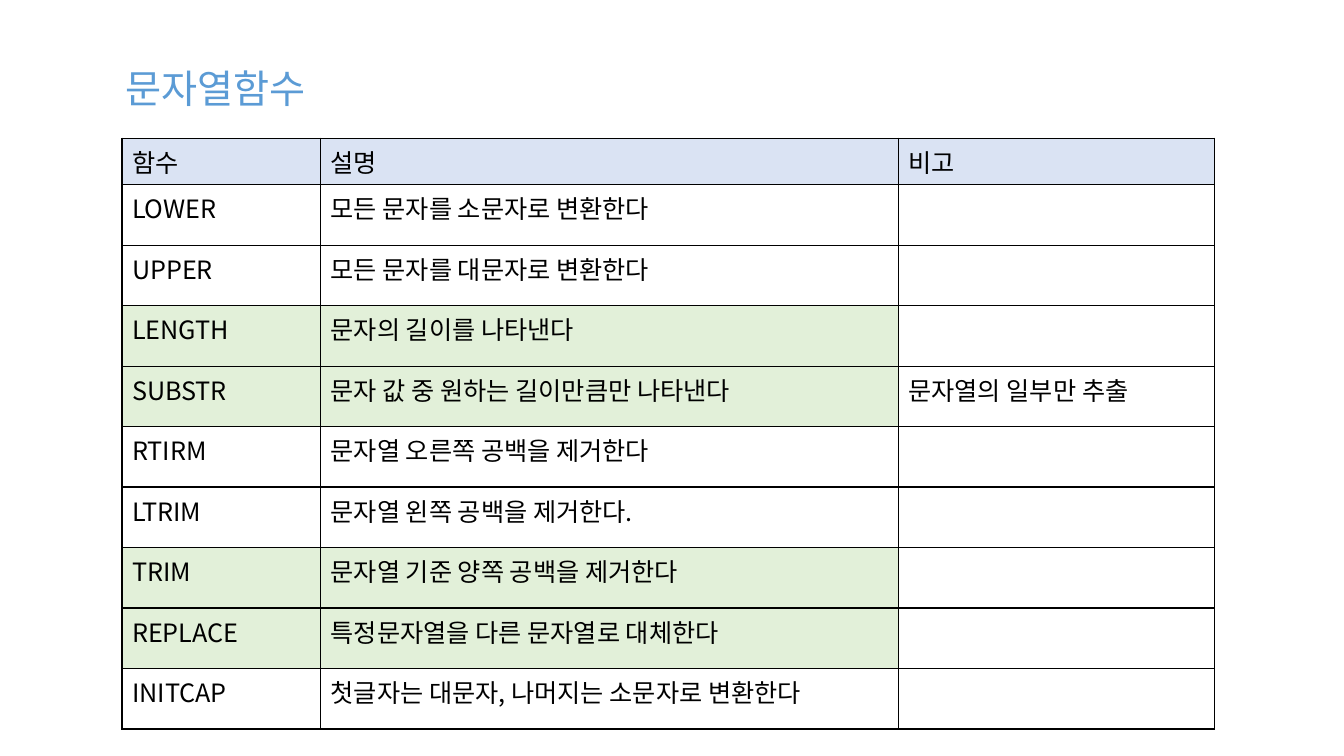
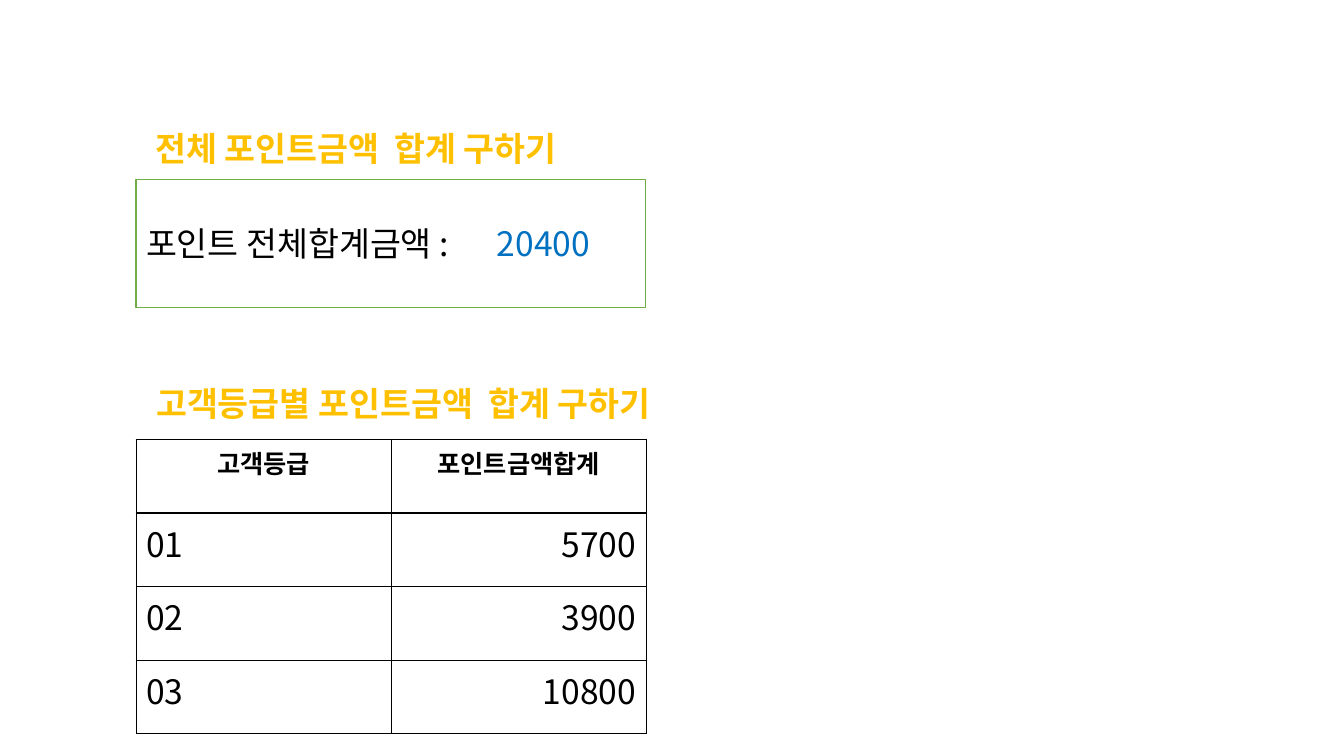
from dataclasses import dataclass

import lxml.etree
import pptx
import pptx.dml.color
import pptx.enum.shapes
import pptx.enum.text
import pptx.oxml.ns
import pptx.presentation
import pptx.shapes.base
import pptx.slide
import pptx.table
import pptx.text.text
import pptx.util

Inches = pptx.util.Inches
Align = pptx.enum.text.PP_ALIGN
Anchor = pptx.enum.text.MSO_ANCHOR
qn = pptx.oxml.ns.qn

TITLE_ONLY = 5


@dataclass(frozen=True)
class Theme:
    font: str = "Noto Sans CJK KR"
    text: str = "000000"
    paper: str = "FFFFFF"
    title: str = "5B9BD5"
    heading: str = "FFC000"
    value: str = "0070C0"
    frame: str = "70AD47"
    header_fill: str = "DAE3F3"
    marked_fill: str = "E2F0D9"
    title_size: int = 28
    large_size: int = 24
    body_size: int = 18
    line_width: int = 1


THEME = Theme()


@dataclass(frozen=True)
class Area:
    left: float
    top: float
    width: float
    height: float

    def lengths(self) -> tuple[int, int, int, int]:
        return (Inches(self.left), Inches(self.top),
                Inches(self.width), Inches(self.height))


@dataclass(frozen=True)
class Function:
    name: str
    meaning: str
    note: str = ""
    marked: bool = False


@dataclass(frozen=True)
class GradeTotal:
    grade: str
    points: str


FUNCTIONS = (
    Function("LOWER", "모든 문자를 소문자로 변환한다"),
    Function("UPPER", "모든 문자를 대문자로 변환한다"),
    Function("LENGTH", "문자의 길이를 나타낸다", marked=True),
    Function("SUBSTR", "문자 값 중 원하는 길이만큼만 나타낸다",
             "문자열의 일부만 추출", marked=True),
    Function("RTIRM", "문자열 오른쪽 공백을 제거한다"),
    Function("LTRIM", "문자열 왼쪽 공백을 제거한다."),
    Function("TRIM", "문자열 기준 양쪽 공백을 제거한다", marked=True),
    Function("REPLACE", "특정문자열을 다른 문자열로 대체한다", marked=True),
    Function("INITCAP", "첫글자는 대문자, 나머지는 소문자로 변환한다"),
)

GRADE_TOTALS = (
    GradeTotal("01", "5700"),
    GradeTotal("02", "3900"),
    GradeTotal("03", "10800"),
)


def rgb(color: str) -> pptx.dml.color.RGBColor:
    return pptx.dml.color.RGBColor.from_string(color)


def add_text(para: pptx.text.text._Paragraph, text: str, *,
             size: int = THEME.body_size, color: str = THEME.text,
             bold: bool = False, align: Align = Align.LEFT) -> None:
    """Append a span, naming the font for Latin and Korean letters alike."""
    para.alignment = align
    span = para.add_run()
    span.text = text
    span.font.size = pptx.util.Pt(size)
    span.font.bold = bold
    span.font.color.rgb = rgb(color)
    span.font.name = THEME.font
    lxml.etree.SubElement(span._r.get_or_add_rPr(), qn("a:ea"),
                          typeface=THEME.font)


def place_heading(box: pptx.shapes.base.BaseShape, area: Area, text: str, *,
                  size: int, color: str, bold: bool = False,
                  wrap: bool = True) -> None:
    box.left, box.top, box.width, box.height = area.lengths()
    frame = box.text_frame
    frame.word_wrap = wrap
    frame.auto_size = pptx.enum.text.MSO_AUTO_SIZE.NONE
    frame.vertical_anchor = Anchor.TOP
    add_text(frame.paragraphs[0], text, size=size, color=color, bold=bold,
             align=Align.CENTER)


def add_grid(page: pptx.slide.Slide, left: float, top: float,
             widths: list[float], heights: list[float]) -> pptx.table.Table:
    """Add a plain table whose cells all have a thin border and no fill."""
    area = Area(left, top, sum(widths), sum(heights))
    table = page.shapes.add_table(len(heights), len(widths),
                                  *area.lengths()).table
    table.first_row = table.horz_banding = False
    for column, width in zip(table.columns, widths):
        column.width = Inches(width)
    for row, height in zip(table.rows, heights):
        row.height = Inches(height)
    for cell in table.iter_cells():
        properties = cell._tc.get_or_add_tcPr()
        for side in ("lnL", "lnR", "lnT", "lnB"):
            line = lxml.etree.SubElement(
                properties, qn(f"a:{side}"),
                w=str(pptx.util.Pt(THEME.line_width)))
            fill = lxml.etree.SubElement(line, qn("a:solidFill"))
            lxml.etree.SubElement(fill, qn("a:srgbClr"), val=THEME.text)
        cell.fill.background()
    return table


def fill_cell(cell: pptx.table._Cell, text: str, *, fill: str = "",
              size: int = THEME.body_size, bold: bool = False,
              align: Align = Align.LEFT) -> None:
    if fill:
        cell.fill.solid()
        cell.fill.fore_color.rgb = rgb(fill)
    if text:
        add_text(cell.text_frame.paragraphs[0], text, size=size, bold=bold,
                 align=align)


def add_total_box(page: pptx.slide.Slide, area: Area, label: str,
                  total: str) -> None:
    box = page.shapes.add_shape(pptx.enum.shapes.MSO_SHAPE.RECTANGLE,
                                *area.lengths())
    box.shadow.inherit = False
    box.fill.solid()
    box.fill.fore_color.rgb = rgb(THEME.paper)
    box.line.color.rgb = rgb(THEME.frame)
    box.line.width = pptx.util.Pt(THEME.line_width)
    box.text_frame.word_wrap = True
    box.text_frame.vertical_anchor = Anchor.MIDDLE
    para = box.text_frame.paragraphs[0]
    add_text(para, f"{label}\t", size=THEME.large_size)
    add_text(para, total, size=THEME.large_size, color=THEME.value)
    stops = lxml.etree.SubElement(para._p.get_or_add_pPr(), qn("a:tabLst"))
    lxml.etree.SubElement(stops, qn("a:tab"), pos=str(Inches(3.48)), algn="l")


def add_function_page(deck: pptx.presentation.Presentation) -> None:
    page = deck.slides.add_slide(deck.slide_layouts[TITLE_ONLY])
    place_heading(page.shapes.title, Area(1.05, 0.59, 2.17, 0.57),
                  "문자열함수", size=THEME.title_size, color=THEME.title,
                  wrap=False)
    table = add_grid(page, 1.21, 1.37, [1.97, 5.73, 3.14],
                     [0.34] + [0.6] * len(FUNCTIONS))
    for column, label in enumerate(("함수", "설명", "비고")):
        fill_cell(table.cell(0, column), label, fill=THEME.header_fill)
    for row, function in enumerate(FUNCTIONS, start=1):
        fill = THEME.marked_fill if function.marked else ""
        fill_cell(table.cell(row, 0), function.name, fill=fill)
        fill_cell(table.cell(row, 1), function.meaning, fill=fill)
        fill_cell(table.cell(row, 2), function.note)


def add_points_page(deck: pptx.presentation.Presentation) -> None:
    page = deck.slides.add_slide(deck.slide_layouts[TITLE_ONLY])
    total_area = Area(0.53, 1.22, 6, 0.5)
    grade_area = Area(1, 3.75, 6, 0.5)
    grade_box = page.shapes.add_textbox(*grade_area.lengths())
    for box, area, text in (
        (page.shapes.title, total_area, "전체 포인트금액  합계 구하기"),
        (grade_box, grade_area, "고객등급별 포인트금액  합계 구하기"),
    ):
        place_heading(box, area, text, size=THEME.large_size,
                      color=THEME.heading, bold=True)

    add_total_box(page, Area(1.35, 1.78, 5.05, 1.27),
                  "포인트 전체합계금액 :", "20400")

    table = add_grid(page, 1.35, 4.36, [2.53] * 2,
                     [0.73] * (len(GRADE_TOTALS) + 1))
    for column, label in enumerate(("고객등급", "포인트금액합계")):
        fill_cell(table.cell(0, column), label, bold=True,
                  align=Align.CENTER)
    for row, total in enumerate(GRADE_TOTALS, start=1):
        fill_cell(table.cell(row, 0), total.grade, size=THEME.large_size)
        fill_cell(table.cell(row, 1), total.points, size=THEME.large_size,
                  align=Align.RIGHT)


def main() -> None:
    deck = pptx.Presentation()
    deck.slide_width = Inches(13.33)
    deck.slide_height = Inches(7.5)
    add_function_page(deck)
    add_points_page(deck)
    deck.save("out.pptx")


if __name__ == "__main__":
    main()
